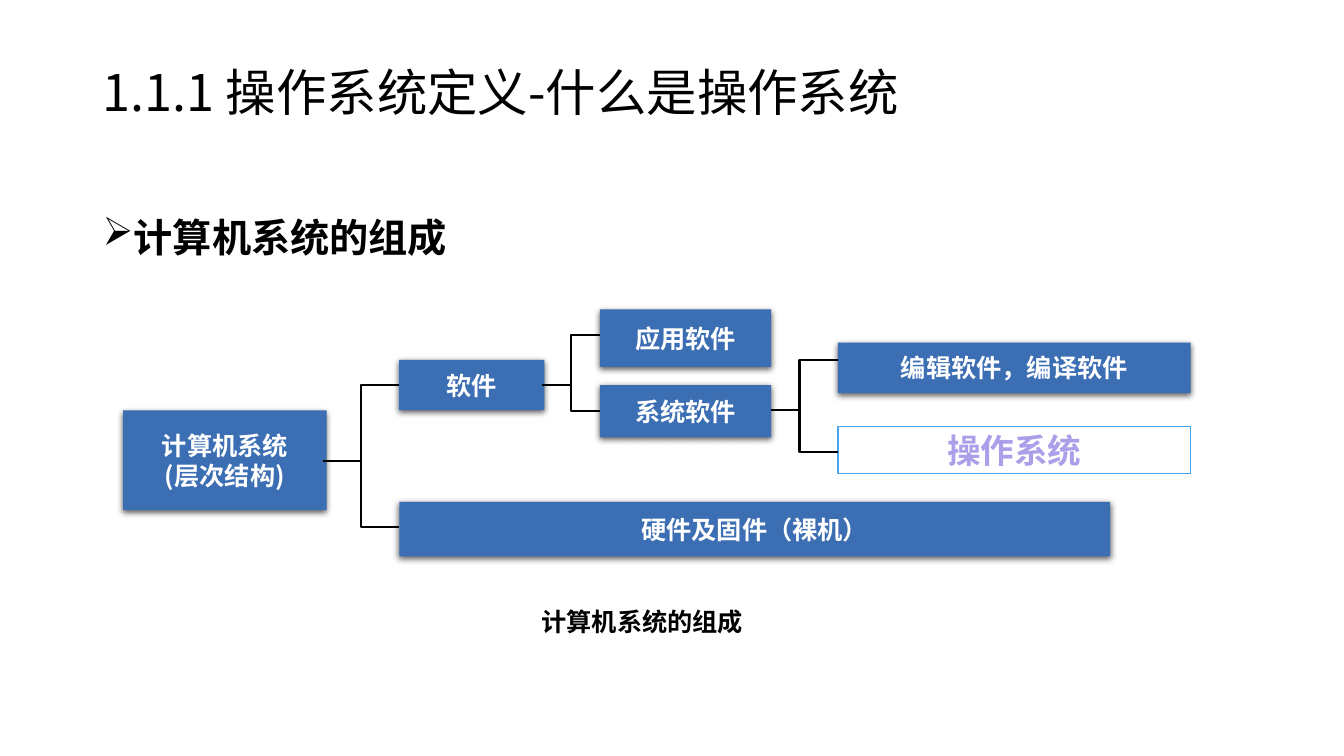
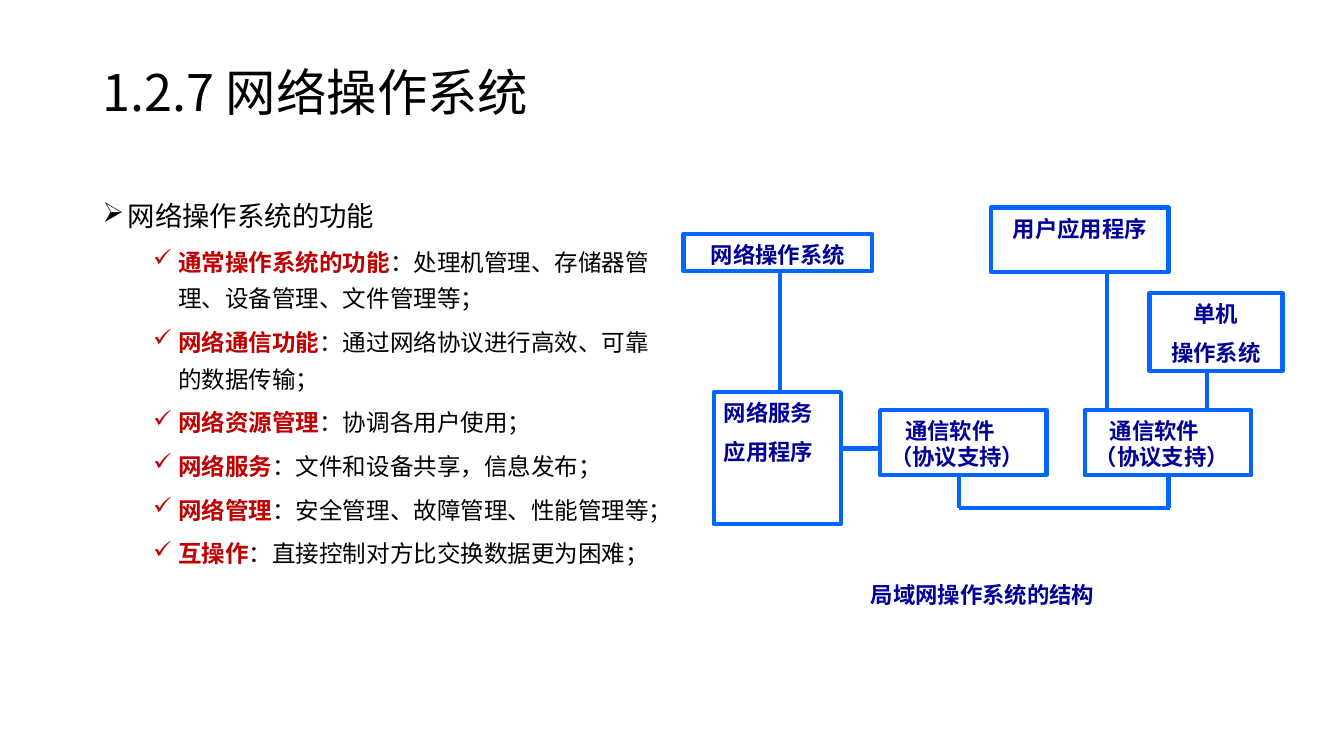
from lxml.etree import SubElement
from pptx import Presentation
from pptx.dml.color import RGBColor
from pptx.enum.shapes import MSO_CONNECTOR, MSO_SHAPE
from pptx.enum.text import MSO_ANCHOR, PP_ALIGN
from pptx.oxml.ns import qn
from pptx.util import Emu, Pt

PIXEL = 9144
COLORS = {
    "black": "000000",
    "white": "FFFFFF",
    "block": "3C6EB4",
    "highlight": "AC9EE8",
    "highlight_edge": "45A5ED",
    "red": "C00000",
    "navy": "000099",
    "network": "0066FF",
}
SANS = "Noto Sans CJK SC"
SERIF = "Times New Roman"


def px(length):
    return Emu(length * PIXEL)


def color_of(name):
    return RGBColor.from_string(COLORS[name])


def write(frame, text, size=18, color="black", bold=False, font=SANS,
          align=PP_ALIGN.LEFT, spacing=None, before=0, bullet=None,
          margin=0, indent=0, lead=None):
    paragraph = frame.paragraphs[0]
    if paragraph.runs:
        paragraph = frame.add_paragraph()
        paragraph.space_before = Pt(before)
    paragraph.alignment = align
    if spacing:
        paragraph.line_spacing = spacing
    properties = paragraph._p.get_or_add_pPr()
    properties.set("marL", str(px(margin)))
    properties.set("indent", str(px(indent)))
    if bullet:
        SubElement(properties, qn("a:buChar")).set("char", bullet)
    parts = [(text, color, bold)]
    if lead:
        parts.insert(0, (lead, "red", True))
    for content, run_color, run_bold in parts:
        run = paragraph.add_run()
        run.text = content
        run.font.size = Pt(size)
        run.font.bold = run_bold
        run.font.name = font
        run.font.color.rgb = color_of(run_color)
        east_asian = SubElement(run._r.get_or_add_rPr(), qn("a:ea"))
        east_asian.set("typeface", SANS)


class Deck:
    def __init__(self):
        self.presentation = Presentation()
        self.presentation.slide_width = px(1333)
        self.presentation.slide_height = px(750)
        self.slide = None

    def start_slide(self, title):
        layout = self.presentation.slide_layouts[6]
        self.slide = self.presentation.slides.add_slide(layout)
        frame = self.text_box(92, 40, 1150, 109, anchor=MSO_ANCHOR.MIDDLE)
        write(frame, title, size=36, spacing=0.9)

    def text_box(self, left, top, width, height, anchor=MSO_ANCHOR.TOP):
        box = self.slide.shapes.add_textbox(px(left), px(top), px(width), px(height))
        box.text_frame.word_wrap = True
        box.text_frame.vertical_anchor = anchor
        return box.text_frame

    def rectangle(self, left, top, width, height, fill=None, edge=None, weight=1):
        shape = self.slide.shapes.add_shape(
            MSO_SHAPE.RECTANGLE, px(left), px(top), px(width), px(height))
        shape.shadow.inherit = False
        if fill:
            shape.fill.solid()
            shape.fill.fore_color.rgb = color_of(fill)
        else:
            shape.fill.background()
        if edge:
            shape.line.color.rgb = color_of(edge)
            shape.line.width = Pt(weight)
        else:
            shape.line.fill.background()
        shape.text_frame.word_wrap = True
        return shape

    def block(self, left, top, width, height, *lines, fill="block", edge=None,
              color="white", size=18):
        shape = self.rectangle(left, top, width, height, fill=fill, edge=edge)
        if not edge:
            self.add_shadow(shape)
        frame = shape.text_frame
        frame.vertical_anchor = MSO_ANCHOR.MIDDLE
        frame.margin_left = frame.margin_right = px(1)
        frame.margin_top = frame.margin_bottom = px(1)
        for line in lines:
            write(frame, line, size=size, color=color, bold=True, align=PP_ALIGN.CENTER)

    def add_shadow(self, shape):
        effects = shape._element.spPr.find(qn("a:effectLst"))
        shadow = SubElement(effects, qn("a:outerShdw"))
        shadow.set("blurRad", str(Pt(4.5)))
        shadow.set("dist", str(Pt(1.5)))
        shadow.set("dir", "5400000")
        shadow.set("rotWithShape", "0")
        shadow_color = SubElement(shadow, qn("a:srgbClr"))
        shadow_color.set("val", COLORS["black"])
        SubElement(shadow_color, qn("a:alpha")).set("val", "63000")

    def network_text(self, frame, *lines, align=PP_ALIGN.CENTER, indent=0):
        frame.vertical_anchor = MSO_ANCHOR.TOP
        frame.margin_top = px(8)
        for line in lines:
            write(frame, line, size=16, color="navy", bold=True, font=SERIF,
                  align=align, spacing=Pt(18.6), before=9, indent=indent)

    def network_box(self, left, top, width, height, *lines, **layout):
        shape = self.rectangle(left, top, width, height, edge="network", weight=3)
        self.network_text(shape.text_frame, *lines, **layout)

    def line(self, start_x, start_y, end_x, end_y, color="black", weight=1.5):
        connector = self.slide.shapes.add_connector(
            MSO_CONNECTOR.STRAIGHT, px(start_x), px(start_y), px(end_x), px(end_y))
        connector.line.color.rgb = color_of(color)
        connector.line.width = Pt(weight)
        SubElement(connector._element.spPr, qn("a:effectLst"))

    def bracket(self, stem_x, stem_y, spine_x, branch_x, top, bottom):
        builder = self.slide.shapes.build_freeform(branch_x, top, scale=float(PIXEL))
        builder.add_line_segments(
            [(spine_x, top), (spine_x, bottom), (branch_x, bottom)], close=False)
        shape = builder.convert_to_shape()
        shape.shadow.inherit = False
        shape.fill.background()
        shape.line.color.rgb = color_of("black")
        shape.line.width = Pt(1.5)
        self.line(stem_x, stem_y, spine_x, stem_y)


def build_composition(deck):
    deck.start_slide("1.1.1 操作系统定义-什么是操作系统")
    body = deck.text_box(92, 183, 1150, 493)
    write(body, "计算机系统的组成", size=28, bold=True, spacing=1.5,
          bullet="➢", margin=25, indent=-25)

    deck.block(122, 407, 202, 99, "计算机系统", "(层次结构)")
    deck.block(396, 357, 144, 50, "软件")
    deck.block(396, 498, 705, 54, "硬件及固件（裸机）")
    deck.block(595, 307, 170, 57, "应用软件")
    deck.block(595, 382, 170, 52, "系统软件")
    deck.block(831, 340, 350, 50, "编辑软件，编译软件")
    deck.block(831, 423, 350, 47, "操作系统", fill="white",
               edge="highlight_edge", color="highlight", size=24)

    deck.bracket(320, 457, 358, 396, 382, 523)
    deck.bracket(538, 382, 566, 595, 332, 408)
    deck.bracket(765, 407, 793, 831, 357, 448)

    caption = deck.text_box(526, 597, 222, 40, anchor=MSO_ANCHOR.MIDDLE)
    write(caption, "计算机系统的组成", bold=True, align=PP_ALIGN.CENTER)


def build_network(deck):
    deck.start_slide("1.2.7 网络操作系统")
    body = deck.text_box(92, 183, 564, 493)
    write(body, "网络操作系统的功能", size=19.6, spacing=1.3,
          bullet="➢", margin=25, indent=-25)
    functions = [
        ("通常操作系统的功能", "：处理机管理、存储器管理、设备管理、文件管理等；"),
        ("网络通信功能", "：通过网络协议进行高效、可靠的数据传输；"),
        ("网络资源管理", "：协调各用户使用；"),
        ("网络服务", "：文件和设备共享，信息发布；"),
        ("网络管理", "：安全管理、故障管理、性能管理等；"),
        ("互操作", "：直接控制对方比交换数据更为困难；"),
    ]
    for name, detail in functions:
        write(body, detail, lead=name, size=16.8, spacing=1.3, before=5,
              bullet="✓", margin=75, indent=-25)

    deck.network_box(678, 232, 187, 37, "网络操作系统")
    deck.network_box(708, 389, 126, 131, "网络服务", "应用程序", align=PP_ALIGN.LEFT)
    deck.network_box(983, 206, 176, 64, "用户应用程序")
    deck.network_box(1140, 291, 132, 77, "单机", "操作系统")
    for left in (873, 1076):
        deck.network_box(left, 407, 165, 64, "通信软件（协议支持）",
                         align=PP_ALIGN.LEFT, indent=15)

    links = [
        (774, 271, 774, 389),
        (834, 445, 873, 445),
        (1098, 271, 1098, 407),
        (1197, 370, 1197, 407),
        (951, 471, 951, 504),
        (1159, 471, 1159, 504),
        (951, 504, 1160, 504),
    ]
    for link in links:
        deck.line(*link, color="network", weight=3)

    caption = deck.text_box(829, 569, 291, 37)
    deck.network_text(caption, "局域网操作系统的结构")


def main():
    deck = Deck()
    build_composition(deck)
    build_network(deck)
    deck.presentation.save("out.pptx")


if __name__ == "__main__":
    main()
